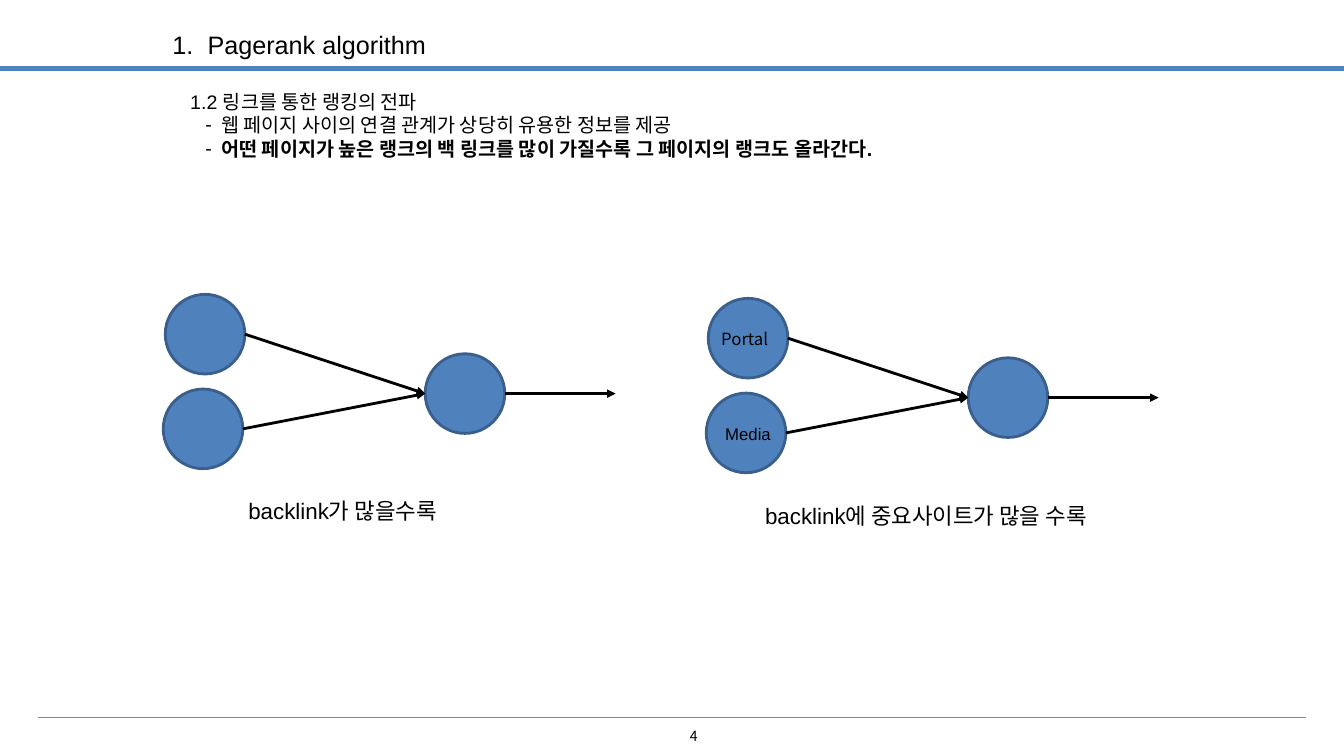
from dataclasses import dataclass

from lxml.etree import SubElement
from pptx import Presentation
from pptx.dml.color import RGBColor
from pptx.enum.shapes import MSO_CONNECTOR as Connector, MSO_SHAPE as Shape
from pptx.enum.text import MSO_ANCHOR as Anchor, PP_ALIGN as Align
from pptx.oxml.ns import qn
from pptx.util import Inches, Pt


@dataclass(frozen=True)
class Theme:
    blue: str = "4F81BD"
    outline: str = "3A5F8C"
    gray: str = "888888"
    black: str = "000000"
    latin: str = "Arial"
    korean: str = "Noto Sans CJK KR"
    title: float = 18
    caption: float = 16
    body: float = 14
    label: float = 12
    number: float = 10


@dataclass(frozen=True)
class Label:
    text: str
    left: float
    top: float
    width: float
    height: float
    size: float
    font: str
    align: Align = Align.LEFT


@dataclass(frozen=True)
class LinkGraph:
    left: float
    top: float
    caption: Label
    names: tuple[Label, ...] = ()


THEME = Theme()
DIAMETER = 0.79
RADIUS = DIAMETER / 2
# Circle offsets from the top-left of a graph: two sources, one target
SOURCES = ((0.02, 0), (0, 0.94))
TARGET = (2.6, 0.59)
ARROW_LENGTH = 1.1

GRAPHS = (
    LinkGraph(1.62, 2.92, Label("backlink가 많을수록", 1.9, 4.88, 3, 0.37,
                                THEME.caption, THEME.latin, Align.CENTER)),
    LinkGraph(7.01, 2.96, Label("backlink에 중요사이트가 많을 수록", 7.3, 4.93, 3.78, 0.37,
                                THEME.caption, THEME.latin, Align.CENTER),
              (Label("Portal", 7.06, 3.21, 0.78, 0.3, THEME.label, THEME.korean),
               Label("Media", 7.1, 4.15, 0.74, 0.3, THEME.label, THEME.latin))),
)
HEADING = Label("Pagerank algorithm", 1.62, 0.24, 3.71, 0.4, THEME.title, THEME.latin)
BODY = Label("1.2 링크를 통한 랭킹의 전파", 1.79, 0.84, 11.04, 0.81, THEME.body, THEME.latin)
POINTS = (
    ("웹 페이지 사이의 연결 관계가 상당히 유용한 정보를 제공", False),
    ("어떤 페이지가 높은 랭크의 백 링크를 많이 가질수록 그 페이지의 랭크도 올라간다.", True),
)
PAGE_NUMBER = Label("4", 5.33, 7.19, 3.11, 0.23, THEME.number, THEME.korean, Align.CENTER)


def color(value: str) -> RGBColor:
    return RGBColor.from_string(value)


def style_runs(para, label: Label, bold: bool = False) -> None:
    para.alignment = label.align
    for span in para.runs:
        span.font.size = Pt(label.size)
        span.font.bold = bold
        span.font.color.rgb = color(THEME.black)
        span.font.name = label.font
        SubElement(span.font._element, qn("a:ea"), typeface=THEME.korean)


def add_label(page, label: Label):
    box = page.shapes.add_textbox(Inches(label.left), Inches(label.top),
                                  Inches(label.width), Inches(label.height))
    box.text_frame.word_wrap = True
    box.text_frame.text = label.text
    style_runs(box.text_frame.paragraphs[0], label)
    return box


def add_bullet(para, tag: str, margin: float, hanging: float, **attributes: str) -> None:
    properties = para._p.get_or_add_pPr()
    properties.set("marL", str(Inches(margin)))
    properties.set("indent", str(-Inches(hanging)))
    SubElement(properties, qn("a:buFont"), typeface=THEME.latin)
    SubElement(properties, qn(tag), **attributes)


def add_line(page, start: tuple[float, float], end: tuple[float, float],
             line_color: str, width: float, arrow: bool = False) -> None:
    line = page.shapes.add_connector(Connector.STRAIGHT, *map(Inches, start + end))
    line.line.color.rgb = color(line_color)
    line.line.width = Pt(width)
    if arrow:
        SubElement(line.line._get_or_add_ln(), qn("a:tailEnd"), type="triangle")
    SubElement(line._element.spPr, qn("a:effectLst"))


def add_circle(page, left: float, top: float) -> None:
    circle = page.shapes.add_shape(Shape.OVAL, Inches(left), Inches(top),
                                   Inches(DIAMETER), Inches(DIAMETER))
    circle.shadow.inherit = False
    circle.fill.solid()
    circle.fill.fore_color.rgb = color(THEME.blue)
    circle.line.color.rgb = color(THEME.outline)
    circle.line.width = Pt(2)


def add_graph(page, graph: LinkGraph) -> None:
    target_left, target_top = graph.left + TARGET[0], graph.top + TARGET[1]
    target_middle = target_top + RADIUS
    add_circle(page, target_left, target_top)
    for offset_x, offset_y in SOURCES:
        left, top = graph.left + offset_x, graph.top + offset_y
        add_circle(page, left, top)
        add_line(page, (left + DIAMETER, top + RADIUS), (target_left, target_middle),
                 THEME.black, 2, arrow=True)
    target_right = target_left + DIAMETER
    add_line(page, (target_right, target_middle),
             (target_right + ARROW_LENGTH, target_middle), THEME.black, 2, arrow=True)
    for label in (graph.caption, *graph.names):
        add_label(page, label)


def main() -> None:
    deck = Presentation()
    deck.slide_width, deck.slide_height = Inches(13.34), Inches(7.5)
    page = deck.slides.add_slide(deck.slide_layouts[6])

    # Header and footer rules, page number
    add_line(page, (0, 0.68), (13.34, 0.68), THEME.blue, 3.25)
    add_line(page, (0.38, 7.12), (12.96, 7.12), THEME.gray, 0.75)
    add_label(page, PAGE_NUMBER).text_frame.vertical_anchor = Anchor.MIDDLE

    # Numbered heading
    heading = add_label(page, HEADING).text_frame
    heading.margin_left = heading.margin_right = Inches(0.09)
    add_bullet(heading.paragraphs[0], "a:buAutoNum", 0.35, 0.35, type="arabicPeriod")

    # Section text with dashed points
    body = add_label(page, BODY).text_frame
    for text, bold in POINTS:
        para = body.add_paragraph()
        para.text = text
        add_bullet(para, "a:buChar", 0.31, 0.16, char="-")
        style_runs(para, BODY, bold)

    # Link graphs
    for graph in GRAPHS:
        add_graph(page, graph)

    deck.save("out.pptx")


if __name__ == "__main__":
    main()
